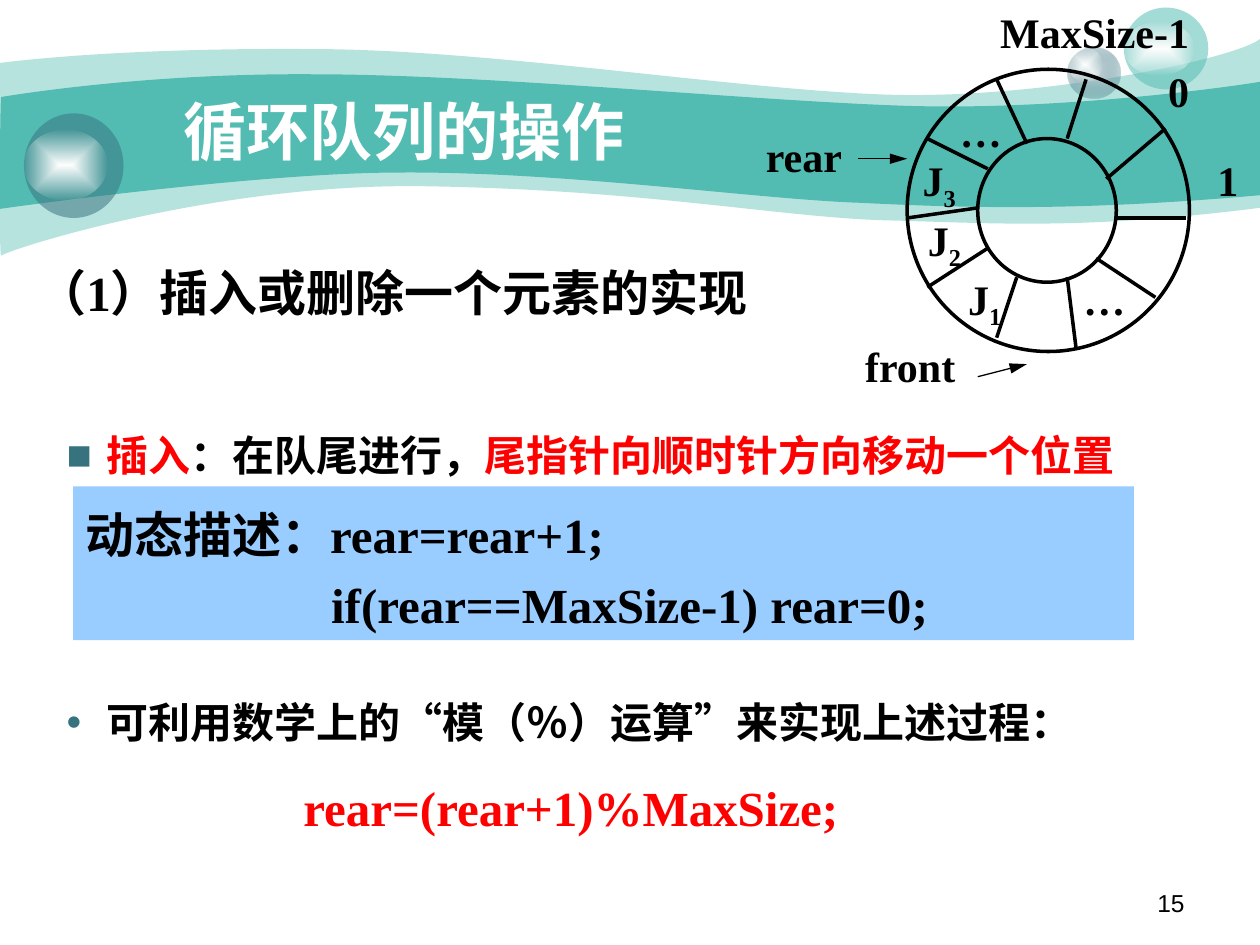
from pptx import Presentation
from pptx.dml.color import RGBColor
from pptx.enum.lang import MSO_LANGUAGE_ID
from pptx.enum.shapes import MSO_CONNECTOR, MSO_SHAPE
from pptx.enum.text import MSO_ANCHOR, PP_ALIGN
from pptx.oxml import parse_xml
from pptx.oxml.ns import nsdecls, qn
from pptx.util import Inches, Pt
from lxml import etree

COLORS = {"black": "000000", "white": "FFFFFF", "red": "FF0000", "teal": "52BCB2",
          "slate": "37737F", "mist": "CCDBDE", "panel": "99CCFF"}

WAVES = [
    ((0, 0.5), [
        [(0.24, 0.47), (1.07, 0.38), (2.47, 0.39)],
        [(3.86, 0.39), (5.75, 0.7), (6.99, 0.75)],
        [(8.22, 0.8), (9.8, 0.47), (10, 0.31)],
        [(10, 1.65)],
        [(8.58, 1.83), (7.87, 1.77), (7.05, 1.75)],
        [(6.22, 1.73), (5.15, 1.51), (3.43, 1.48)],
        [(1.72, 1.44), (0.04, 1.99), (0.01, 2.03)],
        [(-0.01, 2.08), (0, 0.75), (0, 0.5)],
    ], 41),
    ((0.01, 0.77), [
        [(0.02, 0.77), (1.1, 0.58), (2.48, 0.59)],
        [(3.86, 0.59), (5.95, 0.8), (7.18, 0.84)],
        [(8.41, 0.88), (9.76, 0.69), (10, 0.65)],
        [(10, 1.55)],
        [(8.53, 1.68), (7.65, 1.65), (6.82, 1.61)],
        [(5.99, 1.58), (4.47, 1.36), (3.17, 1.37)],
        [(2.03, 1.37), (-0.02, 1.66), (-0.01, 1.66)],
        [(0, 1.66), (0, 0.77), (0.01, 0.77)],
    ], 100),
]

GLOW = [("white", 100), ("white", 0)]
BUBBLES = [
    ((8.47, 0.38, 0.42, 0.4), [("mist", 100), ("slate", 31)]),
    ((8.47, 0.38, 0.28, 0.27), GLOW),
    ((8.92, 0.06, 0.67, 0.65), [("teal", 53)]),
    ((8.92, 0.17, 0.56, 0.43), GLOW),
    ((0.19, 0.9, 0.79, 0.83), [("slate", 53)]),
    ((0.19, 1.03, 0.66, 0.56), GLOW),
]

TITLE = "循环队列的操作"
HEADING = "（1）插入或删除一个元素的实现"
INSERT_RULE = [("插入", "red"), ("：在队尾进行，", "black"),
               ("尾指针向顺时针方向移动一个位置", "red")]
DYNAMIC_STEPS = ["动态描述：rear=rear+1;", "if(rear==MaxSize-1) rear=0;"]
MODULO_NOTE = "可利用数学上的“模（％）运算”来实现上述过程："
FORMULA = "rear=(rear+1)%MaxSize;"
PAGE = "15"

RING_CIRCLES = [(7.2, 0.55, 2.24, 2.24), (7.76, 1.1, 1.1, 1.14)]
SPOKES = [
    (7.91, 0.63, 8.15, 1.14), (7.36, 1.1, 7.84, 1.34), (7.2, 1.73, 7.76, 1.65),
    (7.84, 1.97, 7.36, 2.28), (8.07, 2.2, 7.91, 2.68), (8.47, 2.2, 8.54, 2.76),
    (8.7, 2.05, 9.17, 2.36), (8.86, 1.73, 9.41, 1.73), (8.78, 1.42, 9.25, 1.02),
    (8.47, 1.1, 8.62, 0.63),
]
POINTER_ARROWS = [(6.81, 1.26, 7.2, 1.26), (7.76, 2.99, 8.15, 2.89)]
POINTER_LABELS = [("rear", (5.79, 0.99, 1.18, 0.5), PP_ALIGN.CENTER),
                  ("front", (6.26, 2.65, 1.42, 0.5), PP_ALIGN.RIGHT),
                  ("MaxSize-1", (7.84, 0, 2.16, 0.5), PP_ALIGN.LEFT)]
SLOT_LABELS = [("1", "", 9.49, 1.18), ("0", "", 9.1, 0.47), ("…", "", 8.5, 2.12),
               ("…", "", 7.52, 0.79), ("J", "3", 7.2, 1.18), ("J", "2", 7.24, 1.65),
               ("J", "1", 7.56, 2.12)]

prs = Presentation()
prs.slide_width, prs.slide_height = Inches(10), Inches(7.5)
slide = prs.slides.add_slide(prs.slide_layouts[6])
shapes = slide.shapes


def rgb(name):
    return RGBColor.from_string(COLORS[name])


def inches(values):
    return [Inches(v) for v in values]


def set_alpha(shape, percent):
    color = shape.fill._xPr.find(qn("a:solidFill"))[0]
    etree.SubElement(color, qn("a:alpha"), val=str(percent * 1000))


def set_glow(shape, stops):
    stop_xml = "".join(
        f'<a:gs pos="{i * 100000}"><a:srgbClr val="{COLORS[name]}">'
        f'<a:alpha val="{alpha * 1000}"/></a:srgbClr></a:gs>'
        for i, (name, alpha) in enumerate(stops))
    shape._element.spPr.find(qn("a:prstGeom")).addnext(parse_xml(
        f'<a:gradFill {nsdecls("a")} rotWithShape="1"><a:gsLst>{stop_xml}</a:gsLst>'
        '<a:path path="rect"><a:fillToRect l="50000" t="50000" r="50000" b="50000"/>'
        '</a:path></a:gradFill>'))


def add_preset(preset, box, fill=None, line_width=None):
    shape = shapes.add_shape(preset, *inches(box))
    shape.shadow.inherit = False
    if fill:
        shape.fill.solid()
        shape.fill.fore_color.rgb = rgb(fill)
    elif line_width:
        shape.fill.background()
    if line_width:
        shape.line.color.rgb = rgb("black")
        shape.line.width = Pt(line_width)
    else:
        shape.line.fill.background()
    return shape


def add_wave(start, segments, alpha):
    builder = shapes.build_freeform(*inches(start))
    builder.add_line_segments([inches(p) for segment in segments for p in segment], close=True)
    wave = builder.convert_to_shape()
    sides = iter(list(wave._element.iter(qn("a:lnTo"))))
    for segment in segments:
        steps = [next(sides) for _ in segment]
        if len(segment) == 3:
            curve = etree.Element(qn("a:cubicBezTo"))
            steps[0].addprevious(curve)
            for step in steps:
                curve.append(step[0])
                step.getparent().remove(step)
    wave.shadow.inherit = False
    wave.fill.solid()
    wave.fill.fore_color.rgb = rgb("teal")
    wave.line.fill.background()
    if alpha < 100:
        set_alpha(wave, alpha)


def add_line(ends, width, arrow=False):
    line = shapes.add_connector(MSO_CONNECTOR.STRAIGHT, *inches(ends))
    line.line.color.rgb = rgb("black")
    line.line.width = Pt(width)
    if arrow:
        etree.SubElement(line.line._get_or_add_ln(), qn("a:tailEnd"),
                         type="triangle", w="med", len="lg")
    etree.SubElement(line._element.spPr, qn("a:effectLst"))


def write(paragraph, runs, size, align=PP_ALIGN.LEFT, spacing=None, margin=0, bullet=None,
          bold=True, face="Times New Roman"):
    props = paragraph._p.get_or_add_pPr()
    if margin:
        props.set("marL", str(Inches(margin)))
    if bullet:
        props.set("indent", str(-Inches(margin)))
        color = etree.SubElement(props, qn("a:buClr"))
        etree.SubElement(color, qn("a:srgbClr"), val=COLORS["slate"])
        etree.SubElement(props, qn("a:buFont"), typeface="Arial")
        etree.SubElement(props, qn("a:buChar"), char=bullet)
    paragraph.alignment = align
    if spacing:
        paragraph.line_spacing = spacing
    for text, color in runs:
        run = paragraph.add_run()
        run.text = text
        formats = {"size": Pt(size), "bold": bold, "name": face,
                   "language_id": MSO_LANGUAGE_ID.SIMPLIFIED_CHINESE}
        for key, value in formats.items():
            setattr(run.font, key, value)
        run.font.color.rgb = rgb(color)


def add_text(box, runs, size, anchor=MSO_ANCHOR.TOP, **style):
    frame = shapes.add_textbox(*inches(box)).text_frame
    frame.word_wrap = True
    frame.vertical_anchor = anchor
    write(frame.paragraphs[0], runs, size, **style)
    return frame.paragraphs[0]


for wave in WAVES:
    add_wave(*wave)
for box, stops in BUBBLES:
    if len(stops) == 1:
        set_alpha(add_preset(MSO_SHAPE.OVAL, box, stops[0][0]), stops[0][1])
    else:
        set_glow(add_preset(MSO_SHAPE.OVAL, box), stops)

add_text((7.17, 7, 2.33, 0.35), [(PAGE, "black")], 14, align=PP_ALIGN.RIGHT,
         bold=False, face="Arial")
add_text((0.2, 1.94, 7.8, 0.66), [(HEADING, "black")], 28, spacing=1.2)
add_text((0.43, 3.28, 9.13, 0.58), INSERT_RULE, 24, spacing=1.2, margin=0.32, bullet="■")

panel = add_preset(MSO_SHAPE.RECTANGLE, (0.58, 3.86, 8.42, 1.22), "panel").text_frame
panel.word_wrap = True
panel.vertical_anchor = MSO_ANCHOR.TOP
for i, (step, margin) in enumerate(zip(DYNAMIC_STEPS, (0, 1.95))):
    paragraph = panel.add_paragraph() if i else panel.paragraphs[0]
    write(paragraph, [(step, "black")], 28, spacing=1.2, margin=margin)

add_text((0.43, 5.4, 9.13, 0.58), [(MODULO_NOTE, "black")], 24, spacing=1.2,
         margin=0.32, bullet="•")
add_text((0.67, 6.03, 7.72, 0.66), [(FORMULA, "red")], 28, align=PP_ALIGN.CENTER, spacing=1.2)
add_text((1.08, 0.72, 4.25, 0.62), [(TITLE, "white")], 36, anchor=MSO_ANCHOR.MIDDLE,
         align=PP_ALIGN.CENTER)

for circle in RING_CIRCLES:
    add_preset(MSO_SHAPE.OVAL, circle, line_width=2)
for spoke in SPOKES:
    add_line(spoke, 2)
for arrow in POINTER_ARROWS:
    add_line(arrow, 0.75, arrow=True)
for label, box, align in POINTER_LABELS:
    add_text(box, [(label, "black")], 24, align=align)
for label, index, left, top in SLOT_LABELS:
    runs = [(part, "black") for part in (label, index) if part]
    slot = add_text((left, top, 0.51, 0.56 if index else 0.5), runs, 24, align=PP_ALIGN.CENTER)
    if index:
        slot.runs[1].font._element.set("baseline", "-25000")

prs.save("out.pptx")
